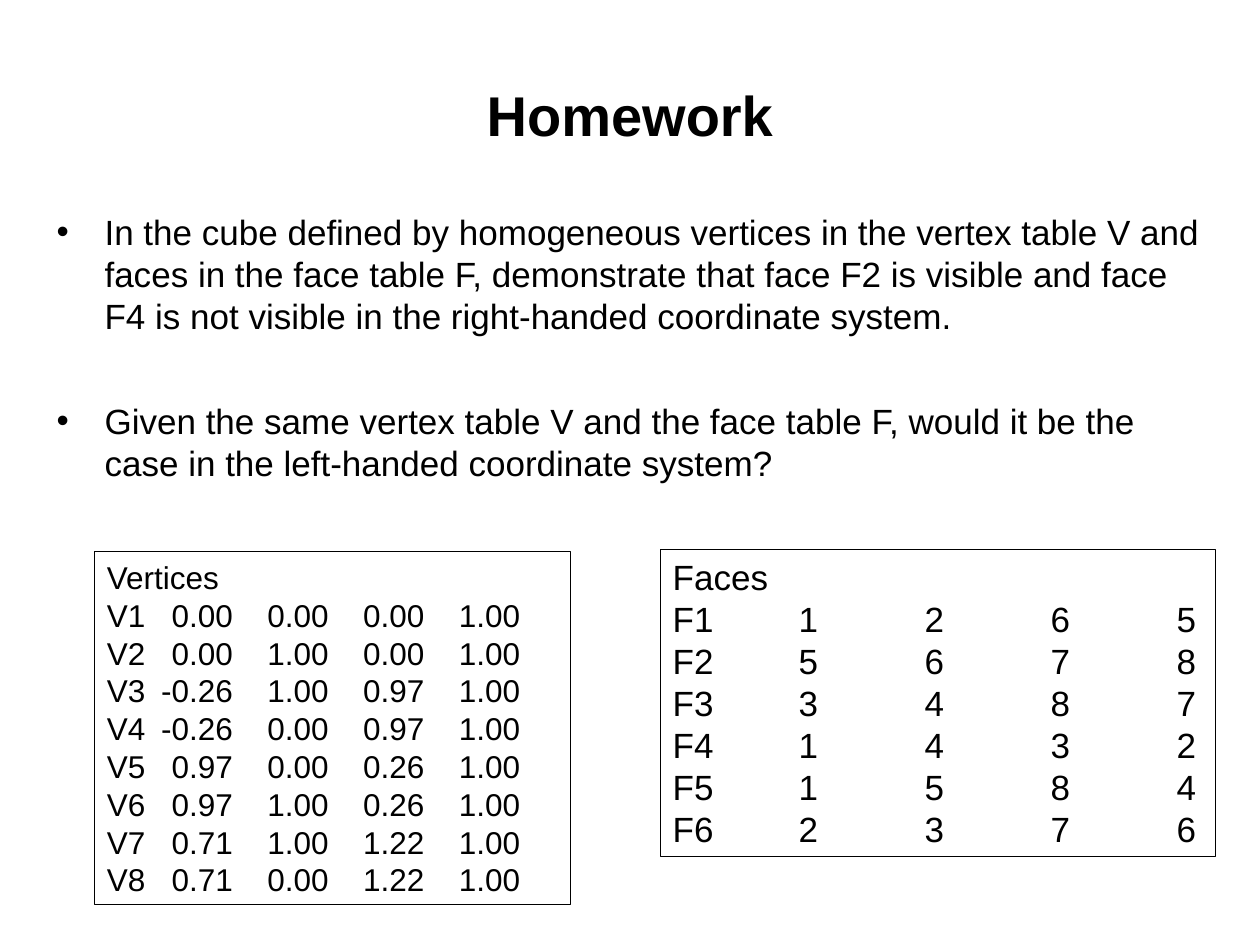
"""Build the homework slide with the vertex and face tables of a cube."""
import pptx
import pptx.dml.color
import pptx.enum.shapes
import pptx.enum.text
import pptx.oxml
import pptx.util
from pptx.util import Inches, Pt

BLACK = pptx.dml.color.RGBColor(0, 0, 0)
FONT = "Arial"
ALIGN = pptx.enum.text.PP_ALIGN
ANCHOR = pptx.enum.text.MSO_ANCHOR
AUTO_SIZE = pptx.enum.text.MSO_AUTO_SIZE

QUESTIONS = [
    "In the cube defined by homogeneous vertices in the vertex table V and faces "
    "in the face table F, demonstrate that face F2 is visible and face F4 is not "
    "visible in the right-handed coordinate system.",
    "Given the same vertex table V and the face table F, would it be the case in "
    "the left-handed coordinate system?",
]
VERTICES = [
    (0, 0, 0, 1), (0, 1, 0, 1), (-0.26, 1, 0.97, 1), (-0.26, 0, 0.97, 1),
    (0.97, 0, 0.26, 1), (0.97, 1, 0.26, 1), (0.71, 1, 1.22, 1), (0.71, 0, 1.22, 1),
]
FACES = [
    (1, 2, 6, 5), (5, 6, 7, 8), (3, 4, 8, 7), (1, 4, 3, 2), (1, 5, 8, 4), (2, 3, 7, 6),
]


def place(s, left, top, width, height):
    """Set the position and size of a shape in inches."""
    s.left, s.top, s.width, s.height = map(Inches, (left, top, width, height))


def format_runs(p, size, bold=False):
    """Give every run of a paragraph the slide's font."""
    for r in p.runs:
        r.font.name = FONT
        r.font.size = Pt(size)
        r.font.bold = bold
        r.font.color.rgb = BLACK


def set_tabs(p, first, step, align):
    """Add four evenly spaced tab stops to a paragraph."""
    pPr = p._p.get_or_add_pPr()
    tabs = pptx.oxml.xmlchemy.OxmlElement("a:tabLst")
    for i in range(4):
        tab = pptx.oxml.xmlchemy.OxmlElement("a:tab")
        tab.set("pos", str(Inches(first + i * step)))
        tab.set("algn", align)
        tabs.append(tab)
    pPr.append(tabs)


def fill_title(s, text):
    """Write the centred bold title."""
    place(s, 0.75, 0.28, 8.5, 1.25)
    tf = s.text_frame
    tf.text = text
    tf.auto_size = AUTO_SIZE.NONE
    tf.vertical_anchor = ANCHOR.MIDDLE
    p = tf.paragraphs[0]
    p.alignment = ALIGN.CENTER
    p.space_before, p.space_after = Pt(12), Pt(6)
    format_runs(p, 32, bold=True)


def fill_body(s, questions):
    """Write the bulleted questions with a wide gap between them."""
    place(s, 0.35, 1.62, 9.29, 2.28)
    tf = s.text_frame
    tf.text = "\n".join(questions)
    tf.auto_size = AUTO_SIZE.NONE
    for i, p in enumerate(tf.paragraphs):
        p.space_before = Pt(36 if i else 6)
        pPr = p._p.get_or_add_pPr()
        pPr.set("marL", str(Inches(0.38)))
        pPr.set("indent", str(Inches(-0.38)))
        format_runs(p, 20)


def add_listing(slide, box, heading, rows, size, tabs):
    """Add an outlined box with a heading and tab-aligned rows."""
    s = slide.shapes.add_shape(
        pptx.enum.shapes.MSO_SHAPE.RECTANGLE, *map(Inches, box))
    s.shadow.inherit = False
    s.fill.background()
    s.line.color.rgb = BLACK
    s.line.width = Pt(0.75)
    tf = s.text_frame
    tf.word_wrap = True
    tf.auto_size = AUTO_SIZE.SHAPE_TO_FIT_TEXT
    tf.vertical_anchor = ANCHOR.TOP
    tf.text = "\n".join([heading] + ["\t".join(row) for row in rows])
    for p in tf.paragraphs:
        p.alignment = ALIGN.LEFT
        set_tabs(p, *tabs)
        format_runs(p, size)


def main():
    """Build and save the slide."""
    prs = pptx.Presentation()
    prs.slide_width, prs.slide_height = Inches(10), Inches(7.5)
    slide = prs.slides.add_slide(prs.slide_layouts[1])
    fill_title(slide.shapes.title, "Homework")
    fill_body(slide.placeholders[1], QUESTIONS)
    vertices = [[f"V{i}"] + [f"{v:.2f}" for v in row]
                for i, row in enumerate(VERTICES, 1)]
    faces = [[f"F{i}"] + [str(v) for v in row] for i, row in enumerate(FACES, 1)]
    add_listing(slide, (0.75, 4.38, 3.78, 2.8), "Vertices", vertices, 18,
                (1, 0.76, "r"))
    add_listing(slide, (5.24, 4.36, 4.41, 2.44), "Faces", faces, 20, (1, 1, "l"))
    prs.save("out.pptx")


if __name__ == "__main__":
    main()
